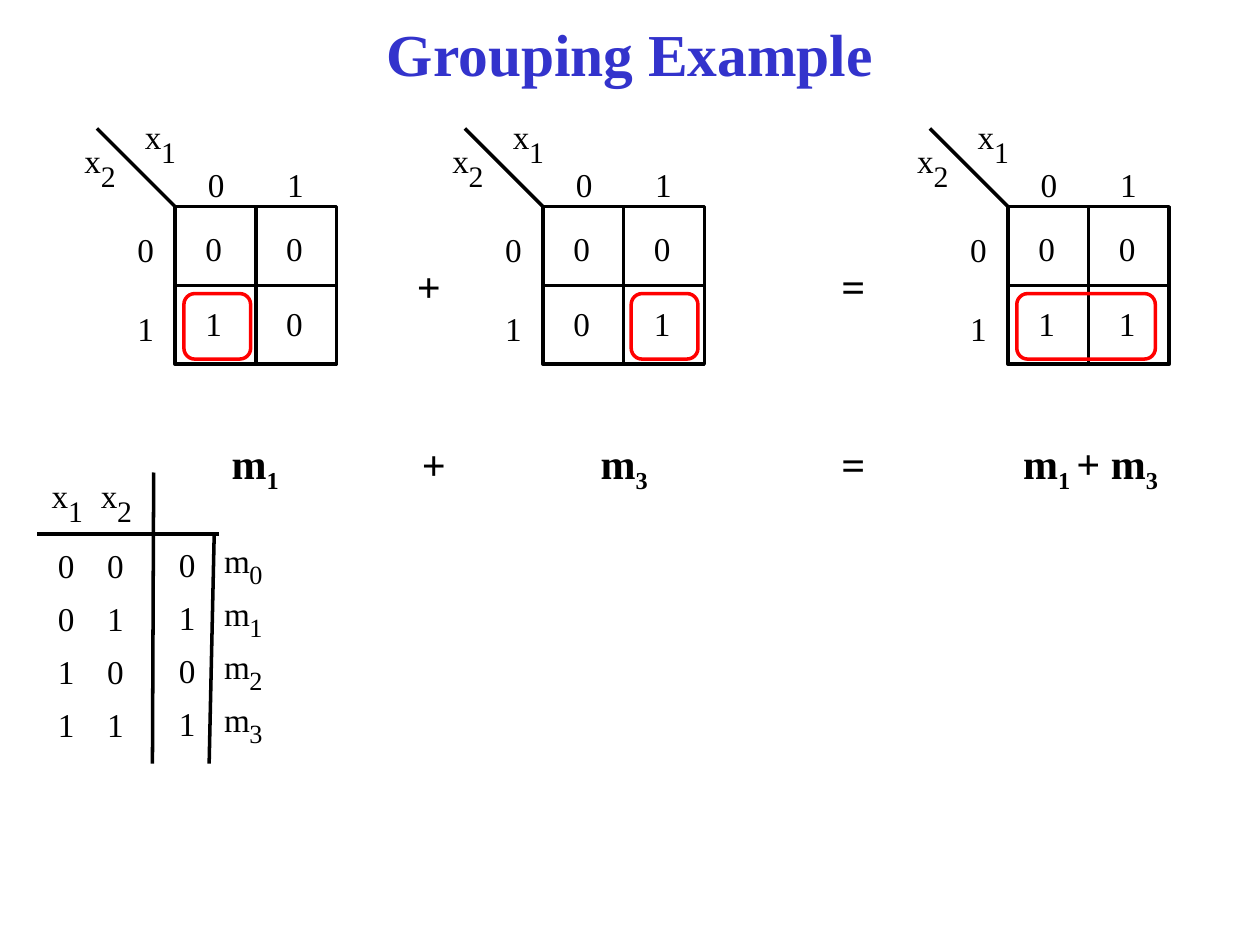
from lxml.etree import SubElement
from pptx import Presentation
from pptx.dml.color import RGBColor
from pptx.enum.shapes import MSO_CONNECTOR as Connector, MSO_SHAPE as Shape
from pptx.enum.text import MSO_ANCHOR as Anchor, PP_ALIGN as Align
from pptx.oxml.ns import qn
from pptx.util import Inches, Pt

BLACK = RGBColor(0, 0, 0)
WHITE = RGBColor(255, 255, 255)
RED = RGBColor(255, 0, 0)
TITLE_BLUE = RGBColor(0x33, 0x33, 0xCC)
FONT = "Times New Roman"

# Content: each map has its left edge, cell rows, and ring (first column, columns)
TITLE = "Grouping Example"
MAPS = [
    (1.39, ["00", "10"], (0, 1)),
    (4.31, ["00", "01"], (1, 1)),
    (8.00, ["00", "11"], (0, 2)),
]
# Terms as (left, pieces); pieces alternate between normal and subscript
TERMS = [
    (1.18, ["m", "1"]),
    (4.11, ["m", "3"]),
    (7.81, ["m", "1 ", "+ m", "3"]),
]
OPERATORS = [("+", 3.21, 2.02), ("+", 3.25, 3.43), ("=", 6.58, 2.02), ("=", 6.58, 3.43)]
TRUTH_ROWS = ["000", "011", "100", "111"]

# Grid measures in inches
MAP_TOP, MAP_WIDTH, MAP_HEIGHT = 1.64, 1.28, 1.25
COLUMN, ROW = 0.63, 0.63
TRUTH_TOP, TRUTH_ROW = 4.33, 0.42
TRUTH_COLUMNS = [(0.46, 0), (0.85, 0), (1.42, -0.01)]

presentation = Presentation()
presentation.slide_width, presentation.slide_height = Inches(10), Inches(7.5)
slide = presentation.slides.add_slide(presentation.slide_layouts[6])


def add_text(pieces, left, top, width=0.2, height=0.32, size=19, bold=False,
             color=BLACK, align=Align.LEFT, anchor=Anchor.TOP, inset=0.0, wrap=False):
    """Add a text box; every second piece is a subscript."""
    box = slide.shapes.add_textbox(*map(Inches, (left, top, width, height)))
    frame = box.text_frame
    frame.word_wrap = wrap
    frame.vertical_anchor = anchor
    frame.margin_left = frame.margin_right = Inches(inset)
    frame.margin_top = frame.margin_bottom = Inches(inset / 2)
    paragraph = frame.paragraphs[0]
    paragraph.alignment = align
    for index, piece in enumerate(pieces):
        run = paragraph.add_run()
        run.text = piece
        font = run.font
        font.name, font.size, font.bold = FONT, Pt(size), bold
        font.color.rgb = color
        if index % 2:
            run._r.get_or_add_rPr().set("baseline", "-25000")


def add_variable(name, index, left, top, shift=0.13, drop=0.14, size=17):
    """Add a letter with its index in a smaller box, lower and to the right."""
    add_text([name], left, top)
    add_text([index], left + shift, top + drop, height=0.28, size=size)


def add_line(x1, y1, x2, y2):
    line = slide.shapes.add_connector(Connector.STRAIGHT, *map(Inches, (x1, y1, x2, y2)))
    line.line.color.rgb = BLACK
    line.line.width = Pt(2)
    SubElement(line._element.spPr, qn("a:effectLst"))
    return line


def add_box(kind, left, top, width, height, color, fill=None):
    box = slide.shapes.add_shape(kind, *map(Inches, (left, top, width, height)))
    box.shadow.inherit = False
    box.line.color.rgb = color
    box.line.width = Pt(2)
    if fill is None:
        box.fill.background()
    else:
        box.fill.solid()
        box.fill.fore_color.rgb = fill
    return box


def add_map(left, rows, ring):
    # Frame, with dividers joined to the middles of its sides
    frame = add_box(Shape.RECTANGLE, left, MAP_TOP, MAP_WIDTH, MAP_HEIGHT, BLACK, WHITE)
    for start, end in [(3, 1), (2, 0)]:
        divider = add_line(left, MAP_TOP, left + MAP_WIDTH, MAP_TOP)
        divider.begin_connect(frame, start)
        divider.end_connect(frame, end)

    # Corner diagonal with the variable names
    add_line(left - 0.62, MAP_TOP - 0.62, left, MAP_TOP)
    add_variable("x", "2", left - 0.72, 1.11)
    add_variable("x", "1", left - 0.24, 0.92)

    # Row and column headings, then cell values
    for index, heading in enumerate("01"):
        add_text([heading], left - 0.3, 1.82 + index * ROW)
        add_text([heading], left + 0.26 + index * COLUMN, 1.3)
    for row, values in enumerate(rows):
        for column, value in enumerate(values):
            add_text([value], left + 0.24 + column * 0.64, 1.81 + row * 0.6, width=0.15)

    # Ring around the grouped ones
    first, span = ring
    add_box(Shape.ROUNDED_RECTANGLE, left + 0.07 + first * COLUMN, 2.33,
            0.53 + (span - 1) * 0.57, 0.52, RED)


# Title
add_text([TITLE], 0.25, 0.08, 9.5, 0.67, size=34, bold=True, color=TITLE_BLUE,
         align=Align.CENTER, anchor=Anchor.MIDDLE, inset=0.1, wrap=True)

# Maps and the equations between and below them
for left, rows, ring in MAPS:
    add_map(left, rows, ring)
for left, pieces in TERMS:
    add_text(pieces, left, 3.42, 1.69, 0.51, size=24, bold=True,
             align=Align.CENTER, inset=0.1, wrap=True)
for symbol, left, top in OPERATORS:
    add_text([symbol], left, top, 0.29, 0.5, size=24, bold=True, inset=0.1, wrap=True)

# Truth table
add_line(1.74, 4.24, 0.29, 4.24)
add_line(1.21, 6.06, 1.22, 3.75)
add_line(1.66, 6.06, 1.7, 4.24)
for index, left in [("1", 0.41), ("2", 0.8)]:
    add_variable("x", index, left, 3.77)
for row, values in enumerate(TRUTH_ROWS):
    top = TRUTH_TOP + row * TRUTH_ROW
    for value, (left, shift) in zip(values, TRUTH_COLUMNS):
        add_text([value], left, top + shift)
    add_variable("m", str(row), 1.78, top - 0.04, shift=0.2, size=15)

presentation.save("out.pptx")
